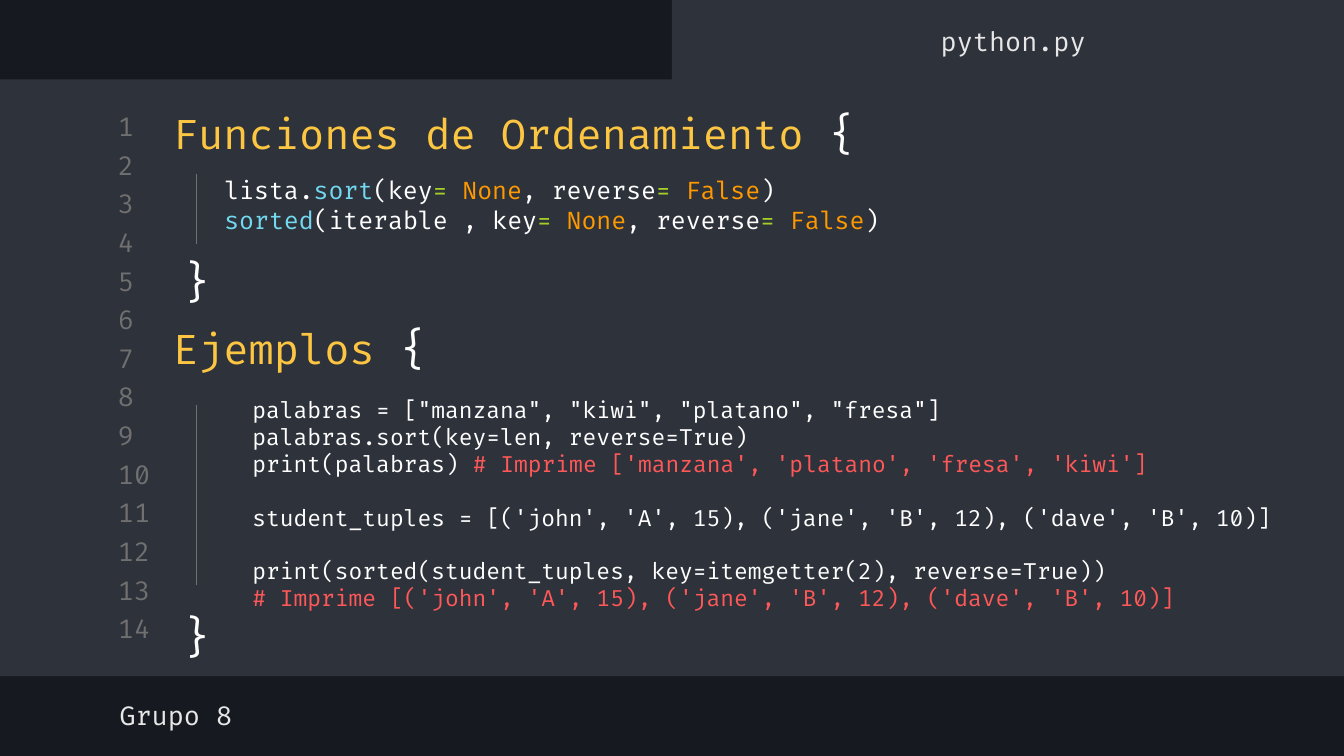
"""Build a code-editor style slide about Python's sorting functions."""
import pptx
import pptx.dml.color
import pptx.enum.shapes
import pptx.enum.text
import pptx.oxml.ns
import pptx.util
from lxml import etree

Cm, Pt = pptx.util.Cm, pptx.util.Pt
ALIGN = pptx.enum.text.PP_ALIGN
ANCHOR = pptx.enum.text.MSO_ANCHOR

FONT = "Fira Code"
COLORS = {
    "back": "16191F", "panel": "2E323B", "muted": "707070", "label": "E7E7E7",
    "title": "FCC642", "plain": "FFFFFF", "call": "72D9F0", "equals": "A5CF27",
    "value": "FF9900", "comment": "FF5858",
}

PANELS = [(0, 1.5, 25.4, 11.28), (12.7, 0, 12.7, 1.75)]
LINE_COUNT, FIRST_LINE, LINE_STEP = 14, 2.08, 0.73

LABELS = [
    ("Grupo 8", (2.01, 13.03, 13.51, 0.99), ALIGN.LEFT),
    ("python.py", (12.8, 0.28, 12.7, 0.99), ALIGN.CENTER),
]
TITLES = [
    ("Funciones de Ordenamiento ", (3.02, 1.52, 20.04, 1.96)),
    ("Ejemplos ", (3.02, 5.72, 10.67, 1.68)),
]
BLOCKS = [
    {"brace": 4.57, "guide": (3.28, 4.62)},
    {"brace": 11.28, "guide": (7.65, 11.05)},
]
ARGUMENTS = [
    ("= ", "equals"), ("None", "value"), (", reverse", "plain"),
    ("= ", "equals"), ("False", "value"), (")", "plain"),
]
SIGNATURES = [
    [("lista.", "plain"), ("sort", "call"), ("(key", "plain")] + ARGUMENTS,
    [("sorted", "call"), ("(iterable , key", "plain")] + ARGUMENTS,
]
EXAMPLES = [
    [
        [('palabras = ["manzana", "kiwi", "platano", "fresa"]', "plain")],
        [("palabras.sort(key=len, reverse=True)", "plain")],
        [("print(palabras) ", "plain"),
         ("# Imprime ['manzana', 'platano', 'fresa', 'kiwi']", "comment")],
    ],
    [
        [("student_tuples = [('john', 'A', 15), ('jane', 'B', 12), ('dave', 'B', 10)]", "plain")],
    ],
    [
        [("print(sorted(student_tuples, key=itemgetter(2), reverse=True))", "plain")],
        [("# Imprime [('john', 'A', 15), ('jane', 'B', 12), ('dave', 'B', 10)]", "comment")],
    ],
]


def rgb(name):
    return pptx.dml.color.RGBColor.from_string(COLORS[name])


def add_run(p, text, color, size):
    r = p.add_run()
    r.text = text
    r.font.name = FONT
    r.font.size = Pt(size)
    r.font.color.rgb = rgb(color)


def add_box(s, box, anchor=ANCHOR.MIDDLE):
    tf = s.shapes.add_textbox(*map(Cm, box)).text_frame
    tf.word_wrap = True
    tf.vertical_anchor = anchor
    tf.margin_left = tf.margin_right = tf.margin_top = tf.margin_bottom = Cm(0.25)
    return tf


def add_label(s, text, box, color="label", align=ALIGN.LEFT):
    p = add_box(s, box).paragraphs[0]
    p.alignment = align
    add_run(p, text, color, 14)


def add_code(s, groups, box, size):
    tf = add_box(s, box, ANCHOR.TOP)
    p = tf.paragraphs[0]
    for g, lines in enumerate(groups):
        for i, runs in enumerate(lines):
            if g or i:
                p = tf.add_paragraph()
            if g and i == 0:
                p.space_before = Pt(size * 1.2)
            for text, color in runs:
                add_run(p, text, color, size)


def add_block(s, brace, guide):
    p = add_box(s, (3.02, brace, 1.4, 1.5), ANCHOR.TOP).paragraphs[0]
    p.alignment = ALIGN.CENTER
    add_run(p, "}", "plain", 23)
    x, (top, bottom) = Cm(3.71), map(Cm, guide)
    line = s.shapes.add_connector(
        pptx.enum.shapes.MSO_CONNECTOR.STRAIGHT, x, top, x, bottom)
    line.line.color.rgb = rgb("muted")
    line.line.width = Pt(0.75)
    etree.SubElement(line._element.spPr, pptx.oxml.ns.qn("a:effectLst"))


def main():
    prs = pptx.Presentation()
    prs.slide_width, prs.slide_height = Cm(25.4), Cm(14.29)
    s = prs.slides.add_slide(prs.slide_layouts[6])
    s.background.fill.solid()
    s.background.fill.fore_color.rgb = rgb("back")

    for box in PANELS:
        sp = s.shapes.add_shape(
            pptx.enum.shapes.MSO_SHAPE.RECTANGLE, *map(Cm, box))
        sp.shadow.inherit = False
        sp.fill.solid()
        sp.fill.fore_color.rgb = rgb("panel")
        sp.line.fill.background()

    for i in range(LINE_COUNT):
        add_label(s, str(i + 1), (1.98, FIRST_LINE + i * LINE_STEP, 1.2, 0.61), "muted")
    for text, box, align in LABELS:
        add_label(s, text, box, align=align)
    for text, box in TITLES:
        p = add_box(s, box).paragraphs[0]
        add_run(p, text, "title", 22)
        add_run(p, "{", "plain", 23)
    for block in BLOCKS:
        add_block(s, **block)

    add_code(s, [SIGNATURES], (3.99, 3.07, 13.16, 1.7), 13)
    add_code(s, EXAMPLES, (4.52, 7.24, 20.04, 5), 12)
    prs.save("out.pptx")


if __name__ == "__main__":
    main()
